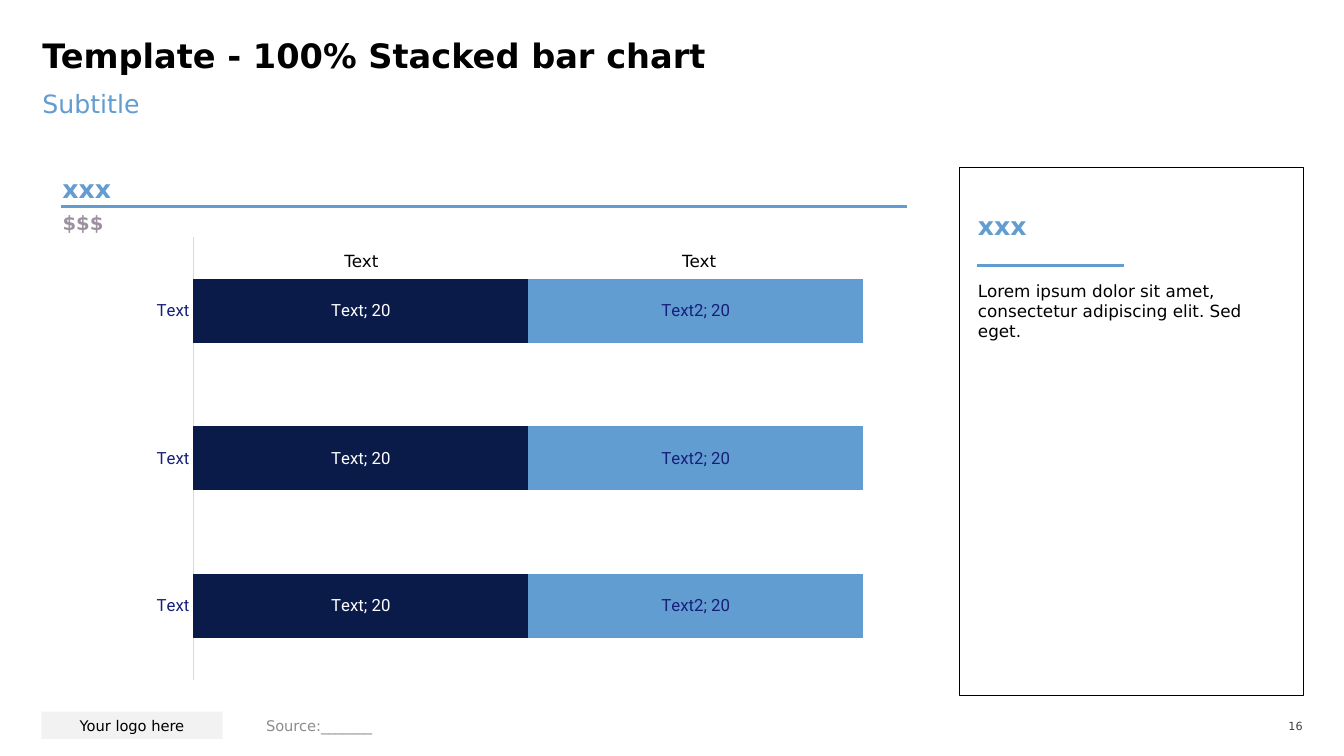
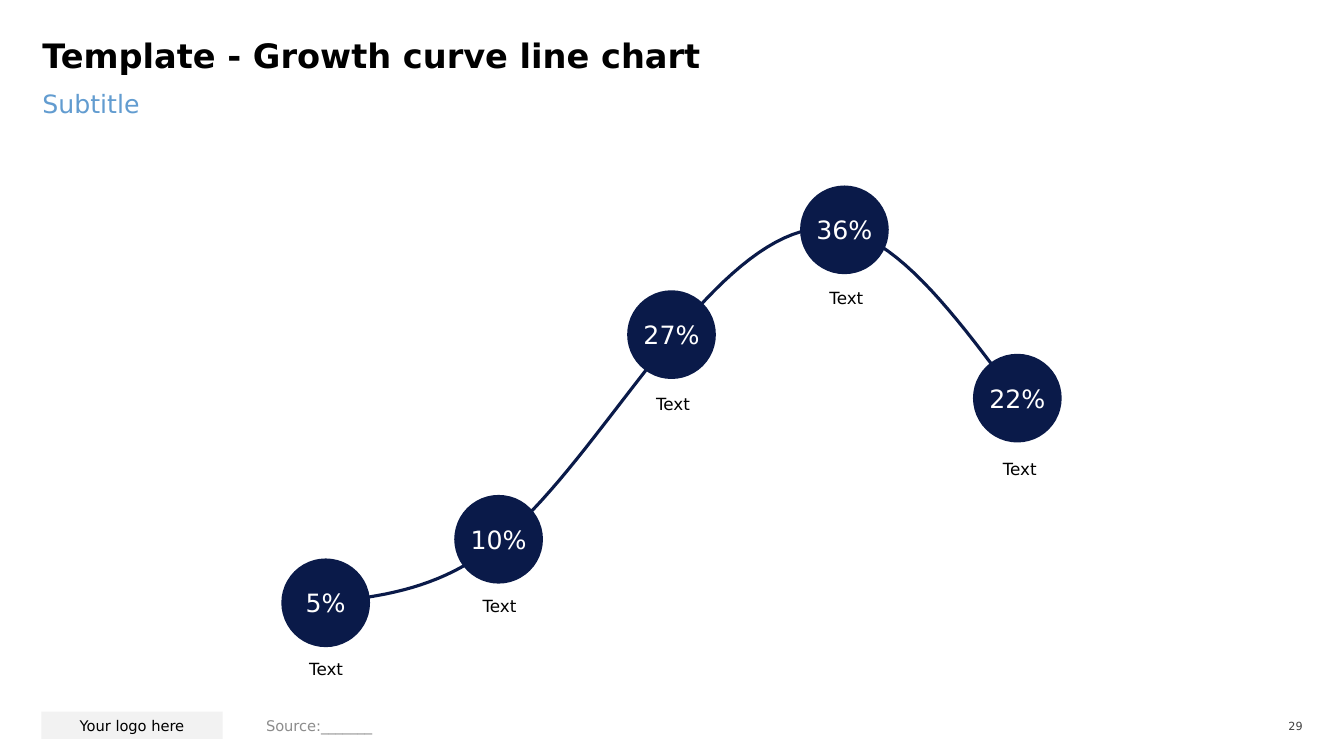
from lxml import etree
from pptx import Presentation
from pptx.chart.data import CategoryChartData
from pptx.dml.color import RGBColor
from pptx.enum.chart import XL_CHART_TYPE, XL_MARKER_STYLE, XL_TICK_MARK
from pptx.enum.shapes import MSO_CONNECTOR, MSO_SHAPE
from pptx.enum.text import MSO_ANCHOR, PP_ALIGN
from pptx.oxml import parse_xml
from pptx.oxml.ns import nsdecls, qn
from pptx.util import Inches, Pt

BLACK = RGBColor(0x00, 0x00, 0x00)
WHITE = RGBColor(0xFF, 0xFF, 0xFF)
NAVY = RGBColor(0x0A, 0x1A, 0x49)
BLUE = RGBColor(0x62, 0x9D, 0xD1)
SUBTITLE_BLUE = RGBColor(0x62, 0x9C, 0xD0)
LABEL_BLUE = RGBColor(0x16, 0x20, 0x7B)
MAUVE = RGBColor(0x9D, 0x90, 0xA0)
DARK_GREY = RGBColor(0x40, 0x40, 0x40)
SOURCE_GREY = RGBColor(0x8C, 0x8C, 0x8C)
AXIS_GREY = RGBColor(0xD9, 0xD9, 0xD9)
LOGO_GREY = RGBColor(0xF2, 0xF2, 0xF2)

FONT = "DejaVu Sans"
CHART_FONT = "Roboto"
TOP, MIDDLE, BOTTOM = MSO_ANCHOR.TOP, MSO_ANCHOR.MIDDLE, MSO_ANCHOR.BOTTOM
LEFT, CENTER, RIGHT = PP_ALIGN.LEFT, PP_ALIGN.CENTER, PP_ALIGN.RIGHT


def set_font(font, size, color, name=FONT, bold=False):
    """Set size, colour, typeface and weight of a font."""
    font.size = Pt(size)
    font.color.rgb = color
    font.name = name
    font.bold = bold


def write(sp, text, size, color=BLACK, bold=False, align=LEFT, anchor=TOP, inset=0):
    """Write one formatted paragraph into a shape and return it."""
    tf = sp.text_frame
    tf.word_wrap = True
    tf.vertical_anchor = anchor
    tf.margin_left = tf.margin_right = Inches(inset)
    tf.margin_top = tf.margin_bottom = Inches(inset / 2)
    tf.text = text
    p = tf.paragraphs[0]
    p.alignment = align
    set_font(p.runs[0].font, size, color, bold=bold)
    return p


def add_text(s, box, text, size, color=BLACK, **style):
    """Add a text box."""
    sp = s.shapes.add_textbox(*map(Inches, box))
    return write(sp, text, size, color, **style)


def add_shape(s, kind, box, fill=None, line=None):
    """Add a flat shape with an optional fill and hairline outline."""
    sp = s.shapes.add_shape(kind, *map(Inches, box))
    sp.shadow.inherit = False
    if fill is None:
        sp.fill.background()
    else:
        sp.fill.solid()
        sp.fill.fore_color.rgb = fill
    if line is None:
        sp.line.fill.background()
    else:
        sp.line.color.rgb = line
        sp.line.width = Pt(0.25)
    return sp


def add_rule(s, left, right, y):
    """Add a horizontal blue rule."""
    ends = map(Inches, (left, y, right, y))
    cn = s.shapes.add_connector(MSO_CONNECTOR.STRAIGHT, *ends)
    cn.line.color.rgb = BLUE
    cn.line.width = Pt(2.25)
    etree.SubElement(cn._element.spPr, qn("a:effectLst"))


def add_chart(s, kind, box, categories, series, layout):
    """Add a chart without legend, title, gridlines or value axis."""
    data = CategoryChartData()
    data.categories = categories
    for name, values in series:
        data.add_series(name, values)
    chart = s.shapes.add_chart(kind, *map(Inches, box), data).chart
    chart.has_legend = chart.has_title = False
    chart.value_axis.has_major_gridlines = False
    chart.value_axis.visible = False
    chart.plots[0].vary_by_categories = False
    area = chart._chartSpace.chart.plotArea
    for old in area.findall(qn("c:layout")):
        area.remove(old)
    sizes = "".join(f'<c:{k} val="{v}"/>' for k, v in zip("xywh", layout))
    area.insert(0, parse_xml(
        f'<c:layout {nsdecls("c")}><c:manualLayout><c:layoutTarget val="inner"/>'
        f'<c:xMode val="edge"/><c:yMode val="edge"/>{sizes}'
        "</c:manualLayout></c:layout>"))
    return chart


def label_series(series, color):
    """Label each bar with its series name and value."""
    labels = series.data_labels
    labels.show_series_name = labels.show_value = True
    set_font(labels.font, 12, color, CHART_FONT)
    separator = parse_xml(f'<c:separator {nsdecls("c")}>; </c:separator>')
    labels._element.find(qn("c:showBubbleSize")).addnext(separator)


def add_slide(prs, title, number):
    """Add a slide with the shared heading and footer."""
    s = prs.slides.add_slide(prs.slide_layouts[6])
    add_text(s, (12.5, 7.09, 0.42, 0.23), number, 8, DARK_GREY, align=RIGHT, anchor=MIDDLE)
    logo = add_shape(s, MSO_SHAPE.RECTANGLE, (0.41, 7.06, 1.8, 0.27), LOGO_GREY)
    write(logo, "Your logo here", 10.5, align=CENTER, anchor=MIDDLE, inset=0.1)
    add_text(s, (0.42, 0.88, 12.49, 0.63), "Subtitle", 18, SUBTITLE_BLUE)
    p = add_text(s, (0.42, 0.42, 12.49, 0.53), title, 24, bold=True)
    p.line_spacing = 0.8
    add_text(s, (2.54, 7.07, 6.39, 0.26), "Source:_______", 10.5, SOURCE_GREY,
             anchor=MIDDLE, inset=0.1)
    return s


def add_section(s, left, top, rule_y, rule_width):
    """Add a blue section heading with its rule."""
    add_text(s, (left, top, 2.93, 0.34), "xxx", 18, BLUE, bold=True, anchor=BOTTOM)
    add_rule(s, left - 0.01, left - 0.01 + rule_width, rule_y)


def build_bar_slide(prs):
    """Build the stacked bar slide with its side panel."""
    s = add_slide(prs, "Template - 100% Stacked bar chart", "16")
    chart = add_chart(s, XL_CHART_TYPE.BAR_STACKED_100, (0.59, 2.2, 8.41, 4.7), ["Text"] * 3,
                      [("Text", [20] * 3), ("Text2", [20] * 3)], (0.158, 0.032, 0.79, 0.935))
    set_font(chart.font, 12, LABEL_BLUE, CHART_FONT)
    plot = chart.plots[0]
    plot.gap_width, plot.overlap = 130, 100
    axis = chart.category_axis
    axis.major_tick_mark = axis.minor_tick_mark = XL_TICK_MARK.NONE
    axis.format.line.color.rgb = AXIS_GREY
    axis.format.line.width = Pt(0.75)
    for series, fill, color in zip(plot.series, (NAVY, BLUE), (WHITE, LABEL_BLUE)):
        series.format.fill.solid()
        series.format.fill.fore_color.rgb = fill
        label_series(series, color)
    for left in (2.12, 5.47):
        add_text(s, (left, 2.49, 2.93, 0.2), "Text", 12, align=CENTER, anchor=BOTTOM)

    add_section(s, 0.62, 1.68, 2.05, 8.39)
    add_text(s, (0.62, 2.09, 1.32, 0.34), "$$$", 14, MAUVE, bold=True)
    add_shape(s, MSO_SHAPE.RECTANGLE, (9.51, 1.66, 3.42, 5.24), line=BLACK)
    add_section(s, 9.7, 2.05, 2.63, 1.46)
    add_text(s, (9.7, 2.78, 2.93, 0.61),
             "Lorem ipsum dolor sit amet, consectetur adipiscing elit. Sed eget.", 12)


def build_curve_slide(prs):
    """Build the growth curve slide with its value circles."""
    s = add_slide(prs, "Template - Growth curve line chart", "29")
    chart = add_chart(s, XL_CHART_TYPE.LINE_MARKERS, (2.22, 1.66, 8.89, 5.05), list("12345"),
                      [("Series 1", [14, 28, 75, 100, 61])], (0.017, 0.038, 0.965, 0.937))
    set_font(chart.font, 10, BLACK)
    chart.category_axis.visible = False
    chart.value_axis.minimum_scale, chart.value_axis.maximum_scale = 0, 110
    series = chart.plots[0].series[0]
    series.smooth = True
    series.format.line.color.rgb = NAVY
    series.format.line.width = Pt(2.25)
    marker = series.marker
    marker.style, marker.size = XL_MARKER_STYLE.CIRCLE, 8
    marker.format.fill.solid()
    marker.format.fill.fore_color.rgb = NAVY
    marker.format.line.color.rgb = NAVY

    points = [("5%", 5.54, 6.54), ("10%", 4.91, 5.91), ("27%", 2.88, 3.91),
              ("36%", 1.84, 2.85), ("22%", 3.51, 4.55)]
    for i, (value, circle_top, label_top) in enumerate(points):
        left = 2.79 + 1.715 * i
        circle = add_shape(s, MSO_SHAPE.OVAL, (left, circle_top, 0.88, 0.88), NAVY)
        write(circle, value, 18, WHITE, align=CENTER, anchor=MIDDLE)
        add_text(s, (2.5 + 1.72 * i, label_top, 1.47, 0.2), "Text", 12, align=CENTER)


def main():
    """Build and save the presentation."""
    prs = Presentation()
    prs.slide_width, prs.slide_height = Inches(13.33), Inches(7.5)
    build_bar_slide(prs)
    build_curve_slide(prs)
    prs.save("out.pptx")


if __name__ == "__main__":
    main()
